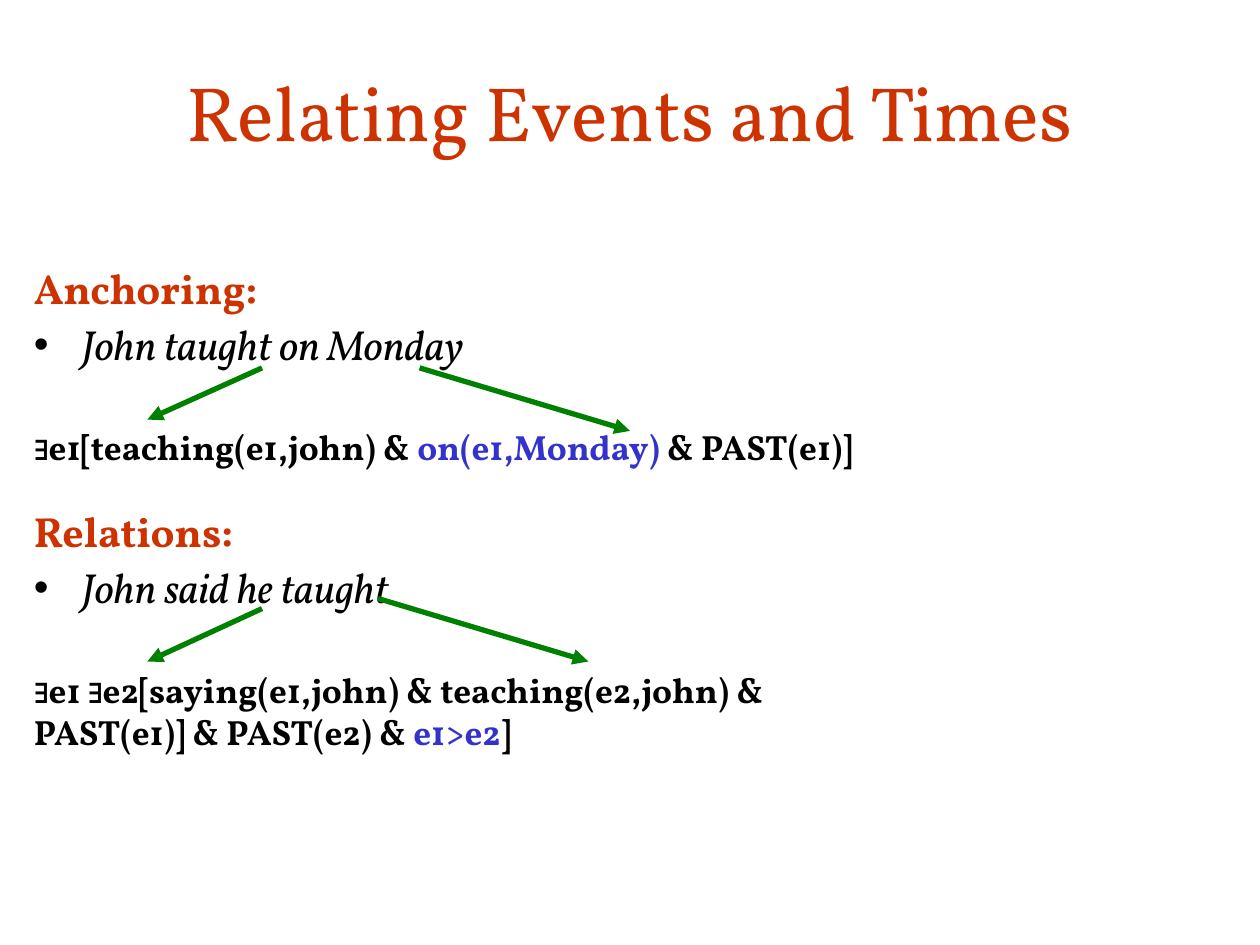
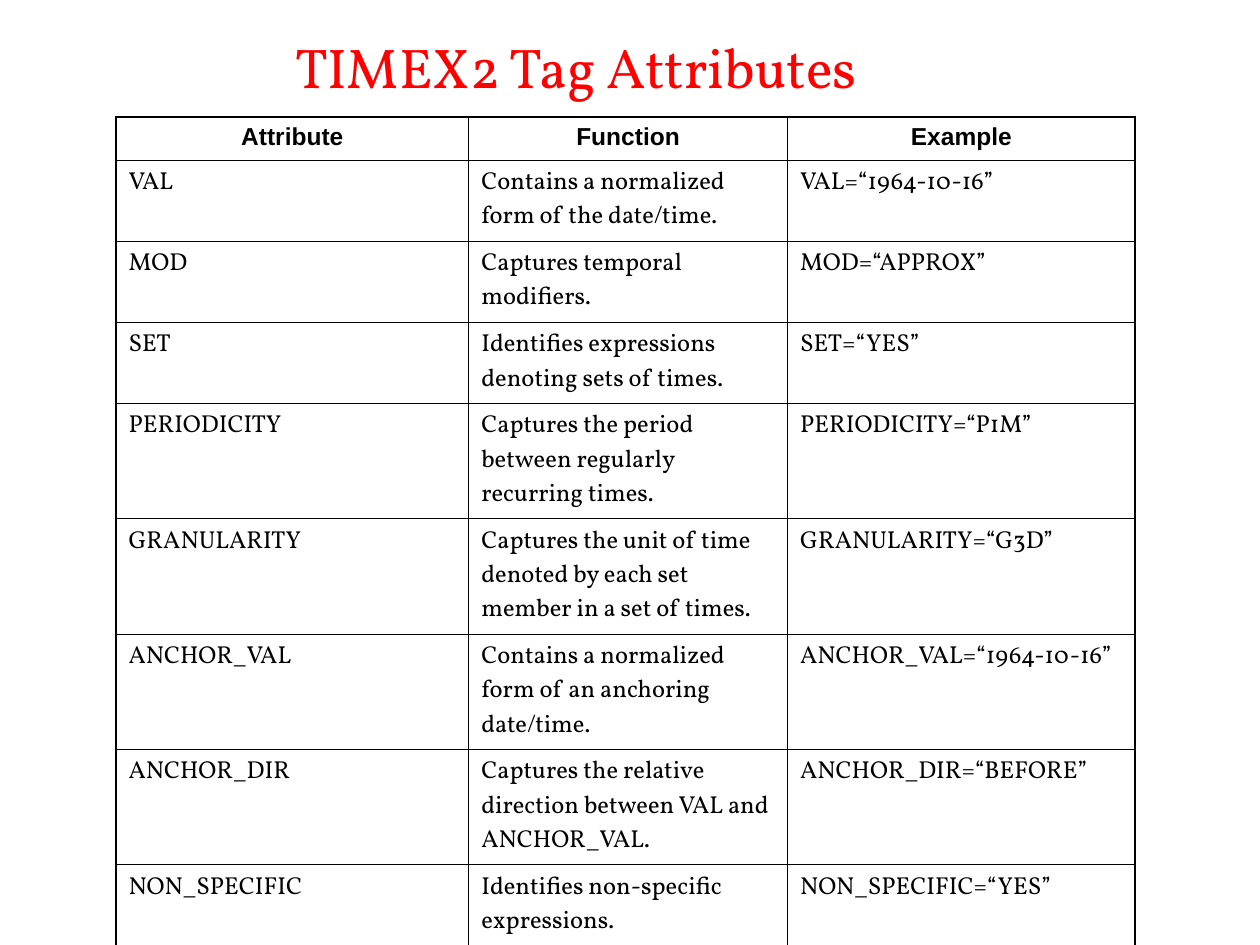
from dataclasses import dataclass

from lxml import etree
from pptx import Presentation, util as u
from pptx.dml.color import RGBColor
from pptx.enum import shapes, text
from pptx.oxml import ns


@dataclass(frozen=True)
class Theme:
    serif: str = "Vollkorn"
    sans: str = "Arial"
    black: str = "000000"
    rust: str = "CC3300"
    red: str = "FF0000"
    blue: str = "3333CC"
    green: str = "008000"
    title: int = 44
    subtitle: int = 32
    body: int = 24
    formula: int = 20
    cell: int = 14
    arrow: float = 3
    outer: float = 1.08
    inner: float = 0.45


T = Theme()
LEFT, CENTER = text.PP_ALIGN.LEFT, text.PP_ALIGN.CENTER
TOP, MIDDLE = text.MSO_ANCHOR.TOP, text.MSO_ANCHOR.MIDDLE


def sub(parent, tag, **attrs):
    return etree.SubElement(parent, ns.qn(tag), attrs)


def apply(obj, values):
    for name, value in values.items():
        setattr(obj, name, value)


class Deck:
    def __init__(self, theme, width, height):
        self.t = theme
        self.prs = Presentation()
        self.prs.slide_width, self.prs.slide_height = u.Inches(width), u.Inches(height)
        self.s = None

    def slide(self):
        self.s = self.prs.slides.add_slide(self.prs.slide_layouts[6])

    def run(self, p, words, size, color=None, font=None, bold=False, italic=False):
        r = p.add_run()
        r.text = words
        apply(r.font, {"size": u.Pt(size), "name": font or self.t.serif,
                       "bold": bold, "italic": italic})
        r.font.color.rgb = RGBColor.from_string(color or self.t.black)

    def box(self, x, y, w, h, **frame):
        sp = self.s.shapes.add_textbox(*map(u.Inches, (x, y, w, h)))
        apply(sp.text_frame, {"word_wrap": True, **frame})
        return sp.text_frame

    def title(self, words, x, y, w, h, size, color, align=LEFT, **frame):
        p = self.box(x, y, w, h, **frame).paragraphs[0]
        p.alignment = align
        self.run(p, words, size, color)

    def paragraphs(self, tf, items):
        """Each item: runs, space before, line spacing, bulleted."""
        for i, (runs, before, spacing, bulleted) in enumerate(items):
            p = tf.add_paragraph() if i else tf.paragraphs[0]
            pr = p._p.get_or_add_pPr()
            pr.set("marL", str(u.Inches(0.38)))
            pr.set("indent", str(-u.Inches(0.38)))
            if bulleted:
                sub(sub(pr, "a:buClr"), "a:srgbClr", val=self.t.black)
                sub(pr, "a:buFont", typeface=self.t.sans)
                sub(pr, "a:buChar", char="•")
            apply(p, {"space_before": u.Pt(before), "line_spacing": spacing})
            for words, style in runs:
                self.run(p, words, **style)

    def arrow(self, *ends):
        c = self.s.shapes.add_connector(shapes.MSO_CONNECTOR.STRAIGHT, *map(u.Inches, ends))
        c.line.color.rgb = RGBColor.from_string(self.t.green)
        c.line.width = u.Pt(self.t.arrow)
        sub(c.line._get_or_add_ln(), "a:tailEnd", type="triangle")
        sub(c._element.spPr, "a:effectLst")

    def borders(self, cell, thick_sides):
        cell.fill.background()
        pr = cell._tc.get_or_add_tcPr()
        for i, side in enumerate("LRTB"):
            width = self.t.outer if side in thick_sides else self.t.inner
            ln = sub(pr, f"a:ln{side}", w=str(u.Pt(width)))
            sub(sub(ln, "a:solidFill"), "a:srgbClr", val=self.t.black)
            pr.insert(i, ln)

    def table(self, x, y, widths, heights, rows):
        size = (x, y, sum(widths), sum(heights))
        tbl = self.s.shapes.add_table(len(rows), len(widths), *map(u.Inches, size)).table
        apply(tbl, {"first_row": False, "horz_banding": False})
        for col, w in zip(tbl.columns, widths):
            col.width = u.Inches(w)
        for i, (row, h) in enumerate(zip(rows, heights)):
            tbl.rows[i].height = u.Inches(h)
            for j, words in enumerate(row):
                cell = tbl.cell(i, j)
                p = cell.text_frame.paragraphs[0]
                head = i == 0
                p.alignment = CENTER if head else LEFT
                self.run(p, words, self.t.cell, bold=head,
                         font=self.t.sans if head else self.t.serif)
                edges = {"L": j == 0, "R": j == len(widths) - 1,
                         "T": head, "B": i == len(rows) - 1}
                self.borders(cell, [side for side, outer in edges.items() if outer])


# Text styles of the event slide
HEADING = {"size": T.body, "color": T.rust, "bold": True}
SENTENCE = {"size": T.body, "italic": True}
LOGIC = {"size": T.formula, "bold": True}
KEY = {**LOGIC, "color": T.blue}
EXISTS = ("∃", {**LOGIC, "font": T.sans})


def example(heading, sentence, formulas, before):
    """A heading, a bulleted sentence and its formula lines."""
    yield [(heading, HEADING)], before, 0.9, False
    yield [(sentence, SENTENCE)], 6, 0.9, True
    for i, runs in enumerate(formulas):
        yield runs, 0 if i else 32, 1.0, False


ATTRIBUTES = [  # attribute, function, example value, text lines
    ("VAL", "Contains a normalized form of the date/time.", "1964-10-16", 2),
    ("MOD", "Captures temporal modifiers.", "APPROX", 2),
    ("SET", "Identifies expressions denoting sets of times.", "YES", 2),
    ("PERIODICITY", "Captures the period between regularly recurring times.", "P1M", 3),
    ("GRANULARITY", "Captures the unit of time denoted by each set member in a set of times.",
     "G3D", 3),
    ("ANCHOR_VAL", "Contains a normalized form of an anchoring date/time.", "1964-10-16", 3),
    ("ANCHOR_DIR", "Captures the relative direction between VAL and ANCHOR_VAL.", "BEFORE", 3),
    ("NON_SPECIFIC", "Identifies non-specific expressions.", "YES", 2),
]


def events_slide(deck):
    deck.slide()
    deck.title("Relating Events and Times", 0.75, 0.25, 8.5, 1.25, T.title, T.rust,
               align=CENTER, vertical_anchor=MIDDLE)

    # Two examples with their logical forms
    anchoring = [[EXISTS, ("e1[teaching(e1,john) & ", LOGIC), ("on(e1,Monday)", KEY),
                  (" & PAST(e1)]", LOGIC)]]
    relations = [[EXISTS, ("e1 ", LOGIC), EXISTS,
                  ("e2[saying(e1,john) & teaching(e2,john) &", LOGIC)],
                 [("PAST(e1)] & PAST(e2) & ", LOGIC), ("e1>e2", KEY), ("]", LOGIC)]]
    tf = deck.box(0.17, 2.08, 9.5, 4.58, vertical_anchor=TOP)
    deck.paragraphs(tf, [*example("Anchoring:", "John taught on Monday", anchoring, 0),
                         *example("Relations:", "John said he taught", relations, 25)])

    # Arrows from words to predicates
    for ends in ((2.08, 2.92, 1.17, 3.33), (3.33, 2.92, 5, 3.42),
                 (2.08, 4.83, 1.17, 5.25), (3, 4.75, 4.67, 5.25)):
        deck.arrow(*ends)


def attributes_slide(deck):
    deck.slide()
    rows = [("Attribute", "Function", "Example")]
    rows += [(name, function, f"{name}=“{value}”") for name, function, value, _ in ATTRIBUTES]
    heights = [0.34] + [0.11 + 0.23 * lines for *_, lines in ATTRIBUTES]
    deck.table(0.92, 0.93, (2.8, 2.53, 2.76), heights, rows)
    deck.title("TIMEX2 Tag Attributes", 2.25, 0.21, 6.17, 0.64, T.subtitle, T.red,
               auto_size=text.MSO_AUTO_SIZE.SHAPE_TO_FIT_TEXT)


def main():
    deck = Deck(T, 10, 7.5)
    events_slide(deck)
    attributes_slide(deck)
    deck.prs.save("out.pptx")


if __name__ == "__main__":
    main()
